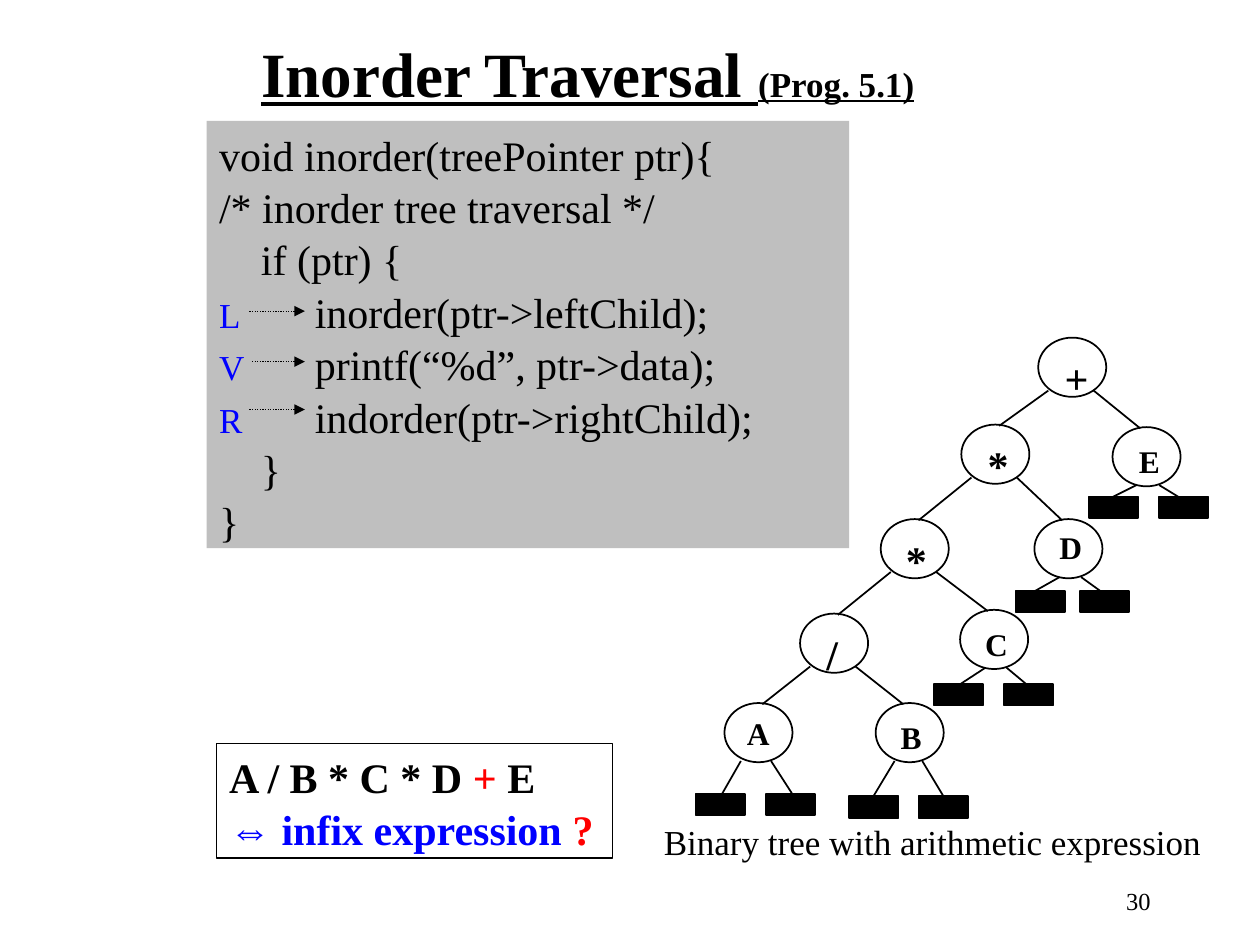
from lxml import etree
from pptx import Presentation
from pptx.dml.color import RGBColor
from pptx.enum import dml, shapes, text
from pptx.oxml.ns import qn
from pptx.util import Pt

PX = 9144  # 100 px to the inch
FONT = "Times New Roman"
BLACK = RGBColor(0, 0, 0)
BLUE = RGBColor(0, 0, 255)
RED = RGBColor(255, 0, 0)
GREY = RGBColor(191, 191, 191)

# Content: each paragraph is a list of (text, format) runs
TITLE = [[("Inorder Traversal ", dict(size=36, bold=True, underline=True)),
          ("(Prog. 5.1)", dict(size=20, bold=True, underline=True))]]
CODE = [
    ("", "void inorder(treePointer ptr){"),
    ("", "/* inorder tree traversal */"),
    ("", "    if (ptr) {"),
    ("L", "inorder(ptr->leftChild);"),
    ("V", "printf(“%d”, ptr->data);"),
    ("R", "indorder(ptr->rightChild);"),
    ("", "    }"),
    ("", "}"),
]
STEP_ARROWS = [(198, 247), (200, 287), (198, 325)]  # start x, y
STEP_ARROW_END = 242
EXPRESSION = [
    [("A / B * C * D ", dict(bold=True)), ("+", dict(bold=True, color=RED)),
     (" E", dict(bold=True))],
    [("⇔ ", dict(color=BLUE)), ("infix expression ", dict(bold=True, color=BLUE)),
     ("?", dict(bold=True, color=RED))],
]
CAPTION = "Binary tree with arithmetic expression"
PAGE = "30"

# Tree: node name -> label, left, top, label offset
NODES = {
    "plus": ("+", 824, 268, (11, 7)),
    "times 1": ("*", 763, 337, (11, 7)),
    "times 2": ("*", 699, 412, (10, 7)),
    "divide": ("/", 635, 487, (11, 7)),
    "A": ("A", 575, 558, (8, 4)),
    "B": ("B", 695, 558, (10, 7)),
    "C": ("C", 762, 484, (10, 7)),
    "D": ("D", 821, 412, (10, 2)),
    "E": ("E", 883, 339, (11, 7)),
}
CHILDREN = {"plus": ("times 1", "E"), "times 1": ("times 2", "D"),
            "times 2": ("divide", "C"), "divide": ("A", "B")}
# Empty subtrees: offsets of left box, right box, top, left line start
EMPTY = {"A": (-23, 33, 72, 13), "B": (-21, 34, 74, 15), "C": (-21, 35, 59, 20),
         "D": (-15, 36, 57, 20), "E": (-19, 37, 55, 19)}
NODE_W, NODE_H = 54, 47
EMPTY_W, EMPTY_H = 39, 17

prs = Presentation()
prs.slide_width, prs.slide_height = 1000 * PX, 750 * PX
slide = prs.slides.add_slide(prs.slide_layouts[5])


def write(shape, paragraphs, wrap=False, align=text.PP_ALIGN.LEFT, spacing=1.0):
    frame = shape.text_frame
    frame.word_wrap = wrap
    frame.auto_size = text.MSO_AUTO_SIZE.NONE
    frame.vertical_anchor = text.MSO_ANCHOR.TOP
    for i, runs in enumerate(paragraphs):
        paragraph = frame.add_paragraph() if i else frame.paragraphs[0]
        paragraph.alignment = align
        paragraph.line_spacing = spacing
        for words, style in runs:
            run = paragraph.add_run()
            run.text = words
            look = {"name": FONT, "size": 24, "bold": False, **style}
            run.font.color.rgb = look.pop("color", BLACK)
            look["size"] = Pt(look["size"])
            for key, value in look.items():
                setattr(run.font, key, value)


def add_label(box, paragraphs, **layout):
    label = slide.shapes.add_textbox(*(n * PX for n in box))
    write(label, paragraphs, **layout)


def add_box(kind, box, fill=None, line=None):
    shape = slide.shapes.add_shape(kind, *(n * PX for n in box))
    shape.shadow.inherit = False
    if fill is None:
        shape.fill.background()
    else:
        shape.fill.solid()
        shape.fill.fore_color.rgb = fill
    if line is None:
        shape.line.fill.background()
    else:
        shape.line.color.rgb = BLACK
        shape.line.width = Pt(line)
    return shape


def add_line(x1, y1, x2, y2, width=1.0):
    line = slide.shapes.add_connector(
        shapes.MSO_CONNECTOR.STRAIGHT, x1 * PX, y1 * PX, x2 * PX, y2 * PX)
    line.line.color.rgb = BLACK
    line.line.width = Pt(width)
    etree.SubElement(line._element.spPr, qn("a:effectLst"))
    return line


# Title and page number
title = slide.shapes.title
for side, value in dict(left=195, top=22, width=543, height=71).items():
    setattr(title, side, value * PX)
write(title, TITLE, align=text.PP_ALIGN.CENTER)
add_label((715, 698, 208, 50), [[(PAGE, dict(size=14))]],
          wrap=True, align=text.PP_ALIGN.RIGHT)

# Code panel, with a tab after each step letter
code_panel = add_box(shapes.MSO_SHAPE.RECTANGLE, (164, 96, 510, 339), fill=GREY)
write(code_panel,
      [[(step, dict(size=20, color=BLUE)), ("\t" + code, {})] if step else [(code, {})]
       for step, code in CODE], wrap=True, spacing=1.04)
for paragraph, (step, _) in zip(code_panel.text_frame.paragraphs, CODE):
    if step:
        tabs = etree.SubElement(paragraph._p.get_or_add_pPr(), qn("a:tabLst"))
        etree.SubElement(tabs, qn("a:tab"), pos=str(76 * PX), algn="l")

# Dotted arrows from step letters to calls
for x, y in STEP_ARROWS:
    arrow = add_line(x, y, STEP_ARROW_END, y, 0.75)
    arrow.line.dash_style = dml.MSO_LINE.ROUND_DOT
    etree.SubElement(arrow.line._get_or_add_ln(), qn("a:tailEnd"), type="triangle")

# Tree nodes
for label, x, y, (dx, dy) in NODES.values():
    add_box(shapes.MSO_SHAPE.OVAL, (x, y, NODE_W, NODE_H), line=1)
    size, height = (18, 40) if label.isalpha() else (24, 50)
    add_label((x + dx, y + dy, 39, height), [[(label, dict(size=size, bold=True))]])

# Branches to left and right children
for parent, pair in CHILDREN.items():
    _, x, y, _ = NODES[parent]
    for child, start, end in zip(pair, (8, 44), (30, 22)):
        _, child_x, child_y, _ = NODES[child]
        add_line(x + start, y + 42, child_x + end, child_y + 1)

# Empty subtrees under the operands
for name, (left, right, top, start) in EMPTY.items():
    _, x, y, _ = NODES[name]
    for dx, line_start, line_end in ((left, start, -3), (right, 37, 55)):
        add_box(shapes.MSO_SHAPE.RECTANGLE, (x + dx, y + top, EMPTY_W, EMPTY_H),
                fill=BLACK, line=1)
        add_line(x + line_start, y + 46, x + line_end, y + top + 2)

# Expression and caption
expression = add_box(shapes.MSO_SHAPE.RECTANGLE, (172, 590, 314, 91), line=0.75)
write(expression, EXPRESSION, spacing=1.04)
add_label((517, 646, 449, 44), [[(CAPTION, dict(size=20))]])

prs.save("out.pptx")
